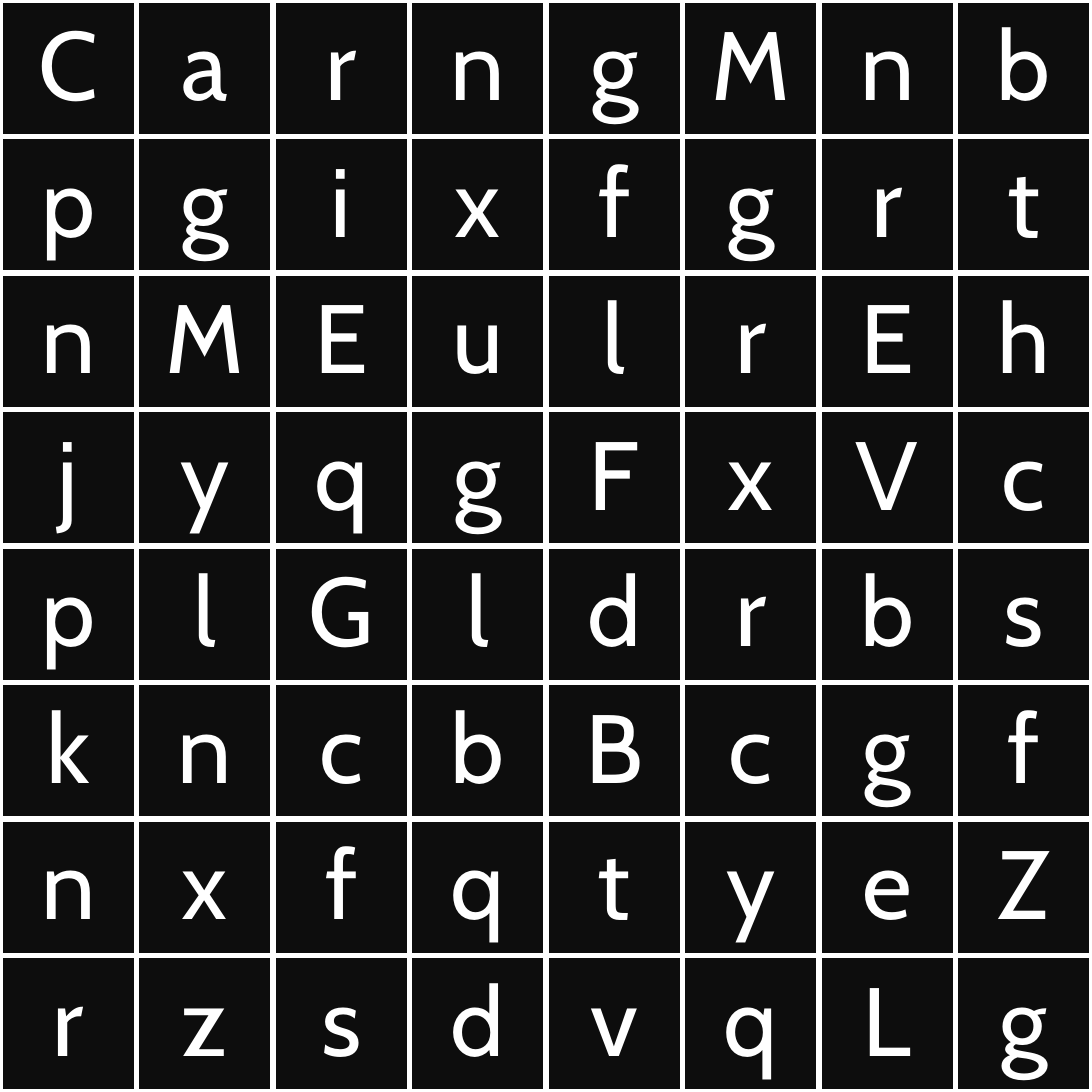
from lxml import etree
from pptx import Presentation
from pptx import util as u
from pptx.dml import color
from pptx.enum import text
from pptx.oxml import ns

SIDE = 540
ROWS = (
    "CarngMnb",
    "pgixfgrt",
    "nMEulrEh",
    "jyqgFxVc",
    "plGldrbs",
    "kncbBcgf",
    "nxfqtyeZ",
    "rzsdvqLg",
)
WHITE, TILE, BLACK = "FFFFFF", "0D0D0D", "000000"
FONT = {"name": "Cabin", "size": u.Pt(48), "bold": False}


def paint(fill, tone):
    fill.solid()
    fill.fore_color.rgb = color.RGBColor.from_string(tone)


def edge(cell, tone, width):
    props = cell._tc.get_or_add_tcPr()
    for side in ("lnL", "lnR", "lnT", "lnB"):
        line = etree.SubElement(props, ns.qn(f"a:{side}"), w=str(u.Pt(width)))
        fill = etree.SubElement(line, ns.qn("a:solidFill"))
        etree.SubElement(fill, ns.qn("a:srgbClr"), val=tone)


def tile(cell, letter):
    edge(cell, WHITE, 3)
    paint(cell.fill, TILE)
    cell.vertical_anchor = text.MSO_ANCHOR.TOP
    para = cell.text_frame.paragraphs[0]
    para.alignment = text.PP_ALIGN.CENTER
    run = para.add_run()
    run.text = letter
    for key, value in FONT.items():
        setattr(run.font, key, value)
    paint(run.font.fill, WHITE)


def board(slide, left, top, width, height):
    box = [u.Pt(size) for size in (left, top, width, height)]
    table = slide.shapes.add_table(len(ROWS), len(ROWS[0]), *box).table
    table.first_row = table.horz_banding = False
    for col in table.columns:
        col.width = u.Pt(width / len(ROWS[0]))
    for y, row in enumerate(ROWS):
        table.rows[y].height = u.Pt(height / len(ROWS))
        for x, letter in enumerate(row):
            tile(table.cell(y, x), letter)


def main():
    deck = Presentation()
    deck.slide_width = deck.slide_height = u.Pt(SIDE)
    slide = deck.slides.add_slide(deck.slide_layouts[6])
    paint(slide.background.fill, BLACK)
    board(slide, 0, 0, SIDE, SIDE)
    deck.save("out.pptx")


if __name__ == "__main__":
    main()
